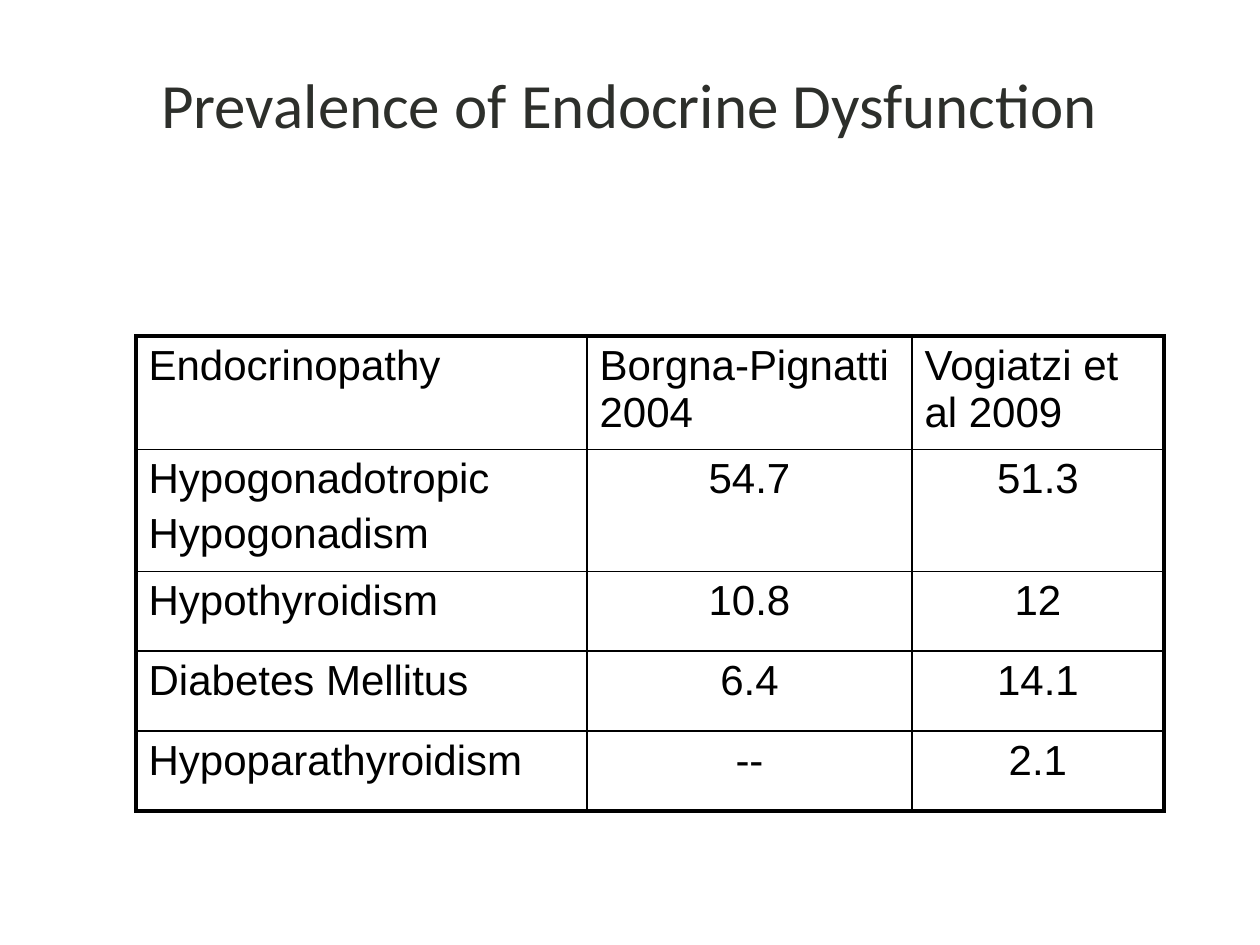
import pptx
import pptx.util
import pptx.dml.color
import pptx.enum.text
import pptx.oxml.ns
from lxml import etree

EMU_PER_PX = 914400 // 126
BLACK = pptx.dml.color.RGBColor(0x00, 0x00, 0x00)
CHARCOAL = pptx.dml.color.RGBColor(0x2D, 0x2F, 0x2B)
LEFT = pptx.enum.text.PP_ALIGN.LEFT
CENTER = pptx.enum.text.PP_ALIGN.CENTER
THIN, THICK = 1, 2.25

COLUMN_WIDTHS = (451, 325, 252)
ROW_HEIGHTS = (106, 115, 80, 80, 80)
PREVALENCE = (
    ("Endocrinopathy", "Borgna-Pignatti 2004", "Vogiatzi et al 2009"),
    ("Hypogonadotropic\nHypogonadism", "54.7", "51.3"),
    ("Hypothyroidism", "10.8", "12"),
    ("Diabetes Mellitus", "6.4", "14.1"),
    ("Hypoparathyroidism", "--", "2.1"),
)


def px(n):
    return pptx.util.Emu(n * EMU_PER_PX)


def write_text(tf, text, size=24, font="Arial", color=BLACK, align=LEFT, gap=4.8):
    """Write one paragraph per line, with gap points between paragraphs."""
    tf.word_wrap = True
    for i, line in enumerate(text.split("\n")):
        p = tf.add_paragraph() if i else tf.paragraphs[0]
        p.alignment = align
        p.space_before = pptx.util.Pt(gap if i else 0)
        r = p.add_run()
        r.text = line
        r.font.size = pptx.util.Pt(size)
        r.font.name = font
        r.font.color.rgb = color


def add_title(slide, text):
    sp = slide.shapes.add_textbox(px(94), px(9), px(1071), px(189))
    sp.text_frame.vertical_anchor = pptx.enum.text.MSO_ANCHOR.MIDDLE
    write_text(sp.text_frame, text, size=36, font="Calibri", color=CHARCOAL, align=CENTER)


def set_borders(cell, **widths):
    """Draw black borders; keys are lnL, lnR, lnT and lnB, in that order."""
    qn = pptx.oxml.ns.qn
    properties = cell._tc.get_or_add_tcPr()
    for i, (side, width) in enumerate(widths.items()):
        line = etree.Element(qn(f"a:{side}"), w=str(pptx.util.Pt(width)))
        fill = etree.SubElement(line, qn("a:solidFill"))
        etree.SubElement(fill, qn("a:srgbClr"), val=str(BLACK))
        properties.insert(i, line)


def add_prevalence_table(slide, rows):
    row_count, column_count = len(rows), len(rows[0])
    frame = slide.shapes.add_table(row_count, column_count, px(136), px(336),
                                   px(sum(COLUMN_WIDTHS)), px(sum(ROW_HEIGHTS)))
    table = frame.table
    table.first_row = table.horz_banding = False
    for column, width in zip(table.columns, COLUMN_WIDTHS):
        column.width = px(width)
    for row, height in zip(table.rows, ROW_HEIGHTS):
        row.height = px(height)
    for i, row in enumerate(rows):
        for j, text in enumerate(row):
            cell = table.cell(i, j)
            cell.fill.background()
            write_text(cell.text_frame, text, align=CENTER if i and j else LEFT)
            set_borders(cell,
                        lnL=THICK if j == 0 else THIN,
                        lnR=THICK if j == column_count - 1 else THIN,
                        lnT=THICK if i == 0 else THIN,
                        lnB=THICK if i == row_count - 1 else THIN)


def main():
    prs = pptx.Presentation()
    prs.slide_width, prs.slide_height = px(1260), px(945)
    slide = prs.slides.add_slide(prs.slide_layouts[6])
    add_title(slide, "Prevalence of Endocrine Dysfunction")
    add_prevalence_table(slide, PREVALENCE)
    prs.save("out.pptx")


if __name__ == "__main__":
    main()
